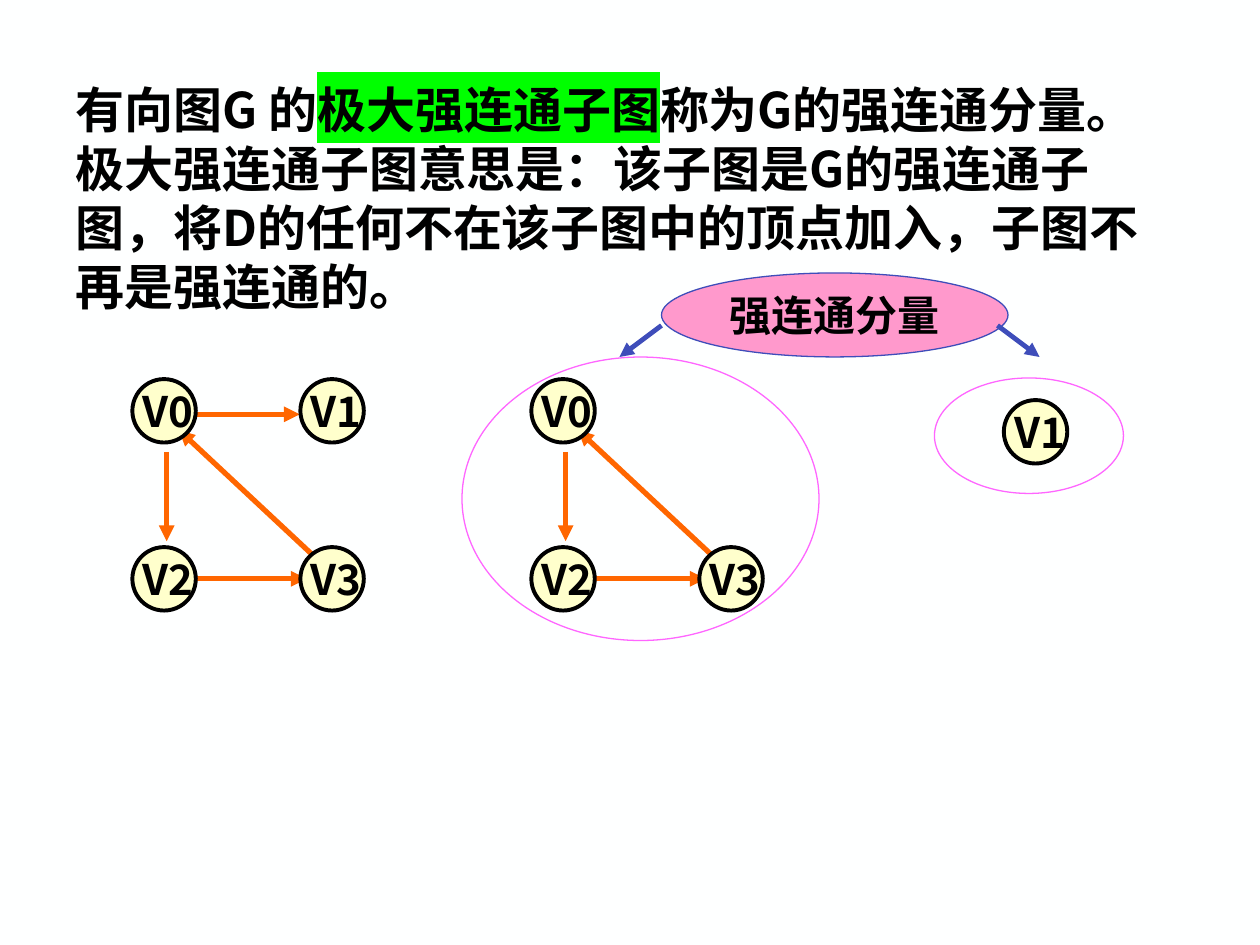
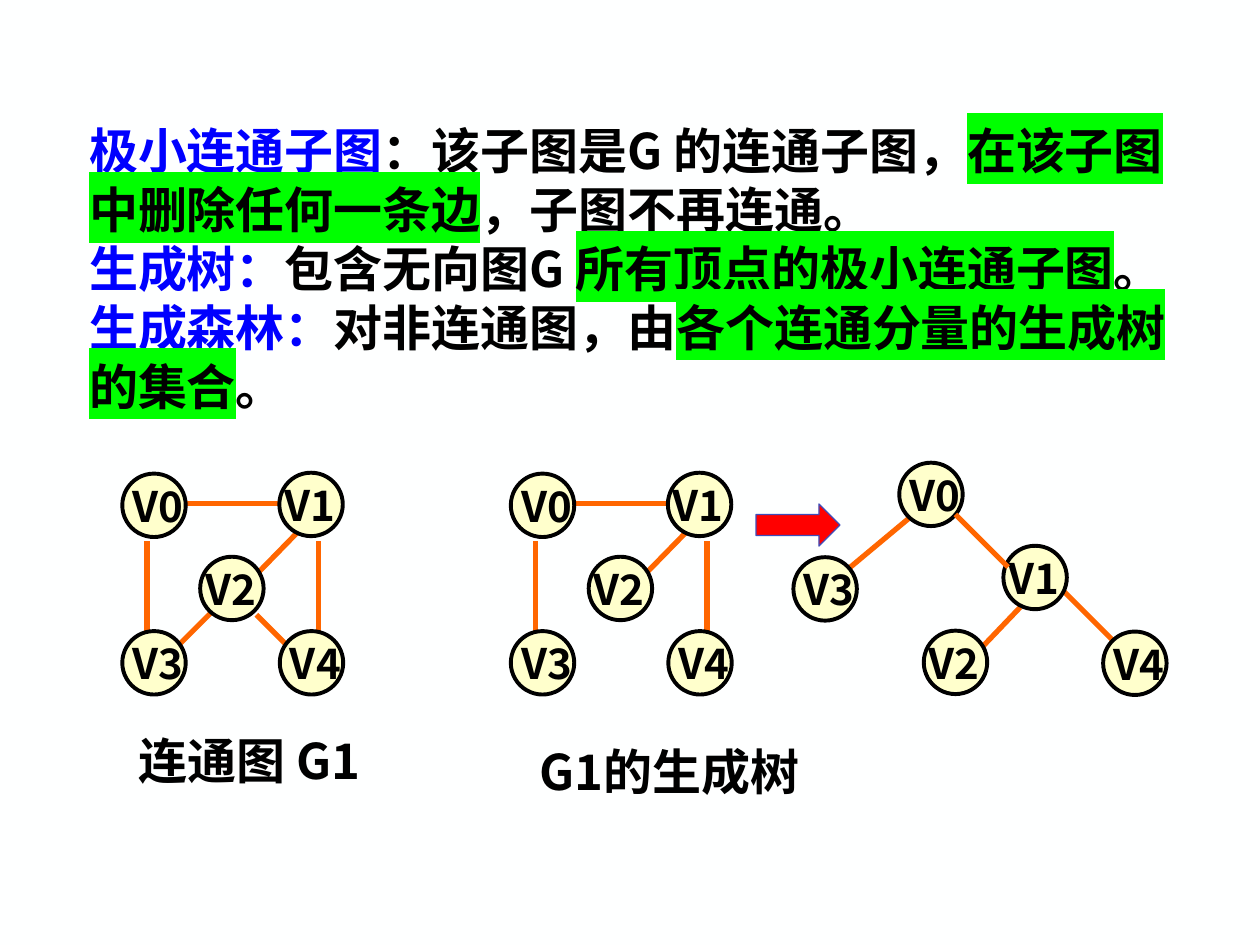
from lxml.etree import SubElement
from pptx import Presentation
from pptx.dml.color import RGBColor
from pptx.enum.shapes import MSO_CONNECTOR, MSO_SHAPE
from pptx.enum.text import MSO_ANCHOR, MSO_AUTO_SIZE, PP_ALIGN
from pptx.oxml.ns import qn
from pptx.util import Pt

COLORS = {
    "background": "FEFFFF", "text": "000000", "term": "0000FF",
    "highlight": "00FF00", "edge": "FF6600", "vertex": "FFFFCC",
    "callout": "FF99CC", "accent": "3E4DBA", "component": "FF66FF",
    "arrow": "FF0000",
}
CJK_FONT = "Noto Sans CJK SC"
TERM_FONT = "DejaVu Sans"
CALLOUT_FONT = "Times New Roman"
DIAMETER = 36.25

# Vertex centres and edge ends, in points from the centre of V0
DIRECTED_VERTICES = {"V0": (0, 0), "V1": (96, 0), "V2": (0, 96), "V3": (96, 96)}
DIRECTED_EDGES = {
    "V0V2": (1.5, 23.5, 1.5, 74.5),
    "V2V3": (18.5, 96, 81.5, 96),
    "V0V1": (18.5, 2, 77.5, 2),
    "V3V0": (92, 89, 8.5, 11),
}
G1_VERTICES = {"V0": (0, 0), "V1": (89.75, -0.5), "V2": (44.5, 47.5),
               "V3": (0, 90), "V4": (90, 90)}
G1_EDGES = {
    "V0V3": (-4, 20.5, -4, 72.5),
    "V0V1": (17.5, -1, 77, -1),
    "V1V4": (94, 20.5, 94, 72.5),
    "V1V2": (81.5, 16, 60, 38),
    "V2V3": (34.5, 59.5, 13, 81),
    "V2V4": (58.5, 62.5, 77, 81),
}
TREE_VERTICES = {"V0": (0, 0), "V1": (59.5, 47.5), "V2": (14, 96),
                 "V3": (-60.5, 54), "V4": (116.5, 96.5)}
TREE_EDGES = {
    "V0V3": (-10, 11.5, -46, 41.5),
    "V1V4": (74, 53.5, 104, 83.5),
    "V1V2": (51, 64.5, 29.5, 87),
}


def rgb(name):
    return RGBColor.from_string(COLORS[name])


def format_run(r, size, color="text", font=CJK_FONT, highlight=False):
    r.font.size = Pt(size)
    r.font.bold = True
    r.font.color.rgb = rgb(color)
    rPr = r.font._element
    if highlight:
        mark = SubElement(rPr, qn("a:highlight"))
        SubElement(mark, qn("a:srgbClr"), val=COLORS["highlight"])
    r.font.name = font
    SubElement(rPr, qn("a:ea"), typeface=CJK_FONT)


def set_line_height(tf, p, size):
    """Fix the line height at 1.2 times the size."""
    p.line_spacing = Pt(1.2 * size)
    p.space_before = Pt(0)
    tf.margin_top = tf.margin_bottom = Pt(3.6)


def put_text(sp, text, size, font=CJK_FONT):
    tf = sp.text_frame
    p = tf.paragraphs[0]
    p.text = text
    p.alignment = PP_ALIGN.CENTER
    set_line_height(tf, p, size)
    format_run(p.runs[0], size, font=font)
    return tf


def add_definitions(s, box, paragraphs):
    """Fill the body placeholder; a run is a text and its kind (text, term, mark)."""
    title = s.shapes.title
    title.element.getparent().remove(title.element)
    body = s.placeholders[1]
    body.left, body.top, body.width, body.height = map(Pt, box)
    tf = body.text_frame
    tf.auto_size = MSO_AUTO_SIZE.NONE
    for i, runs in enumerate(paragraphs):
        p = tf.add_paragraph() if i else tf.paragraphs[0]
        set_line_height(tf, p, 28)
        pPr = p._p.get_or_add_pPr()
        for name in ("marL", "indent", "hangingPunct"):
            pPr.set(name, "0")
        SubElement(pPr, qn("a:buNone"))
        for text, kind in runs:
            r = p.add_run()
            r.text = text
            if kind == "term":
                format_run(r, 28, "term", TERM_FONT)
            else:
                format_run(r, 28, highlight=kind == "mark")


def add_preset(s, preset, box, fill, line, width=0.75):
    sp = s.shapes.add_shape(preset, *map(Pt, box))
    sp.shadow.inherit = False
    if fill:
        sp.fill.solid()
        sp.fill.fore_color.rgb = rgb(fill)
    else:
        sp.fill.background()
    sp.line.color.rgb = rgb(line)
    sp.line.width = Pt(width)
    return sp


def add_line(s, ends, color="edge", width=3, arrow=False):
    c = s.shapes.add_connector(MSO_CONNECTOR.STRAIGHT, *map(Pt, ends))
    c.line.color.rgb = rgb(color)
    c.line.width = Pt(width)
    if arrow:
        SubElement(c.line._get_or_add_ln(), qn("a:tailEnd"), type="triangle")
    SubElement(c._element.spPr, qn("a:effectLst"))


def add_vertex(s, name, x, y, label_left):
    box = (x - DIAMETER / 2, y - DIAMETER / 2, DIAMETER, DIAMETER)
    sp = add_preset(s, MSO_SHAPE.OVAL, box, "vertex", "text", 2.25)
    tf = put_text(sp, name, 24)
    tf.word_wrap = False
    tf.vertical_anchor = MSO_ANCHOR.MIDDLE
    tf.margin_left, tf.margin_right = (0, Pt(1.5)) if label_left else (Pt(4.5), 0)


def add_graph(s, origin, vertices, edges, arrow=False, labels_left=()):
    x, y = origin
    for x1, y1, x2, y2 in edges.values():
        add_line(s, (x + x1, y + y1, x + x2, y + y2), arrow=arrow)
    for name, (dx, dy) in vertices.items():
        add_vertex(s, name, x + dx, y + dy, name in labels_left)


def add_caption(s, text, x, y):
    tb = s.shapes.add_textbox(Pt(x), Pt(y), Pt(177), Pt(41))
    tb.text_frame.word_wrap = True
    put_text(tb, text, 28)


def without(items, *names):
    return {k: v for k, v in items.items() if k not in names}


def build_strong_components(prs):
    s = prs.slides.add_slide(prs.slide_layouts[1])
    add_definitions(s, (36, 42, 642, 142), [[
        ("有向图G 的", "text"),
        ("极大强连通子图", "mark"),
        ("称为G的强连通分量。极大强连通子图意思是：该子图是G的强连通子图，"
         "将D的任何不在该子图中的顶点加入，子图不再是强连通的。", "text"),
    ]])

    callout = add_preset(s, MSO_SHAPE.OVAL, (378, 156, 198, 48), "callout", "accent")
    tf = put_text(callout, "强连通分量", 24, CALLOUT_FONT)
    tf.word_wrap = False
    tf.vertical_anchor = MSO_ANCHOR.MIDDLE
    for ends in ((378, 186, 354, 204), (570, 186, 594, 204)):
        add_line(s, ends, "accent", 2.75, arrow=True)

    add_graph(s, (93.75, 234.75), DIRECTED_VERTICES, DIRECTED_EDGES, arrow=True)
    add_graph(s, (321.75, 234.75), without(DIRECTED_VERTICES, "V1"),
              without(DIRECTED_EDGES, "V0V1"), arrow=True)
    add_vertex(s, "V1", 591.75, 246.75, label_left=False)
    for box in ((264, 204, 204, 162), (534, 216, 108, 66)):
        add_preset(s, MSO_SHAPE.OVAL, box, None, "component")


def build_spanning_tree(prs):
    s = prs.slides.add_slide(prs.slide_layouts[1])
    add_definitions(s, (43.75, 65.5, 652.5, 176), [
        [("极小连通子图", "term"), ("：该子图是G 的连通子图，", "text"),
         ("在该子图中删除任何一条边", "mark"), ("，子图不再连通。", "text")],
        [("生成树：", "term"), ("包含无向图G ", "text"),
         ("所有顶点的极小连通子图", "mark"), ("。", "text")],
        [("生成森林：", "term"), ("对非连通图，由", "text"),
         ("各个连通分量的生成树的集合", "mark"), ("。", "text")],
    ])
    add_caption(s, "连通图 G1", 54, 414)
    add_caption(s, "G1的生成树", 294, 420)

    left = ("V1", "V2")
    add_graph(s, (88, 288.75), G1_VERTICES, G1_EDGES, labels_left=left)
    add_graph(s, (310, 288.75), G1_VERTICES, without(G1_EDGES, "V2V3", "V2V4"),
              labels_left=left)
    add_graph(s, (532, 282.5), TREE_VERTICES, TREE_EDGES, labels_left=left)
    add_line(s, (546, 294, 576, 324))
    add_preset(s, MSO_SHAPE.RIGHT_ARROW, (432, 288, 48, 24), "arrow", "accent")


def main():
    prs = Presentation()
    prs.slide_width, prs.slide_height = Pt(720), Pt(540)
    fill = prs.slide_master.background.fill
    fill.solid()
    fill.fore_color.rgb = rgb("background")
    build_strong_components(prs)
    build_spanning_tree(prs)
    prs.save("out.pptx")


if __name__ == "__main__":
    main()
